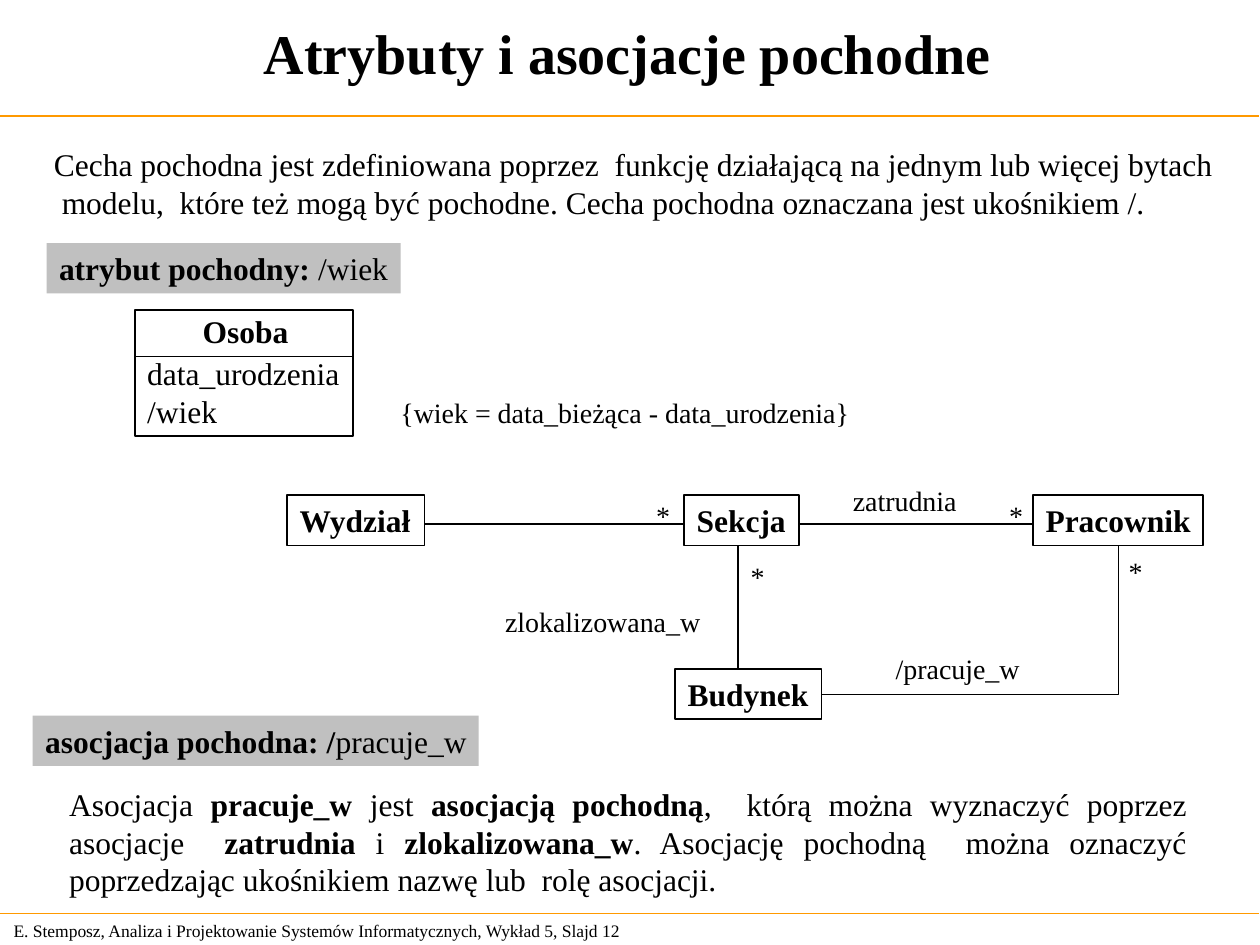
from dataclasses import dataclass

from lxml.etree import SubElement
from pptx import Presentation
from pptx.dml.color import RGBColor
from pptx.enum.shapes import MSO_CONNECTOR, MSO_SHAPE
from pptx.enum.text import MSO_ANCHOR, MSO_AUTO_SIZE, PP_ALIGN
from pptx.oxml.ns import qn
from pptx.util import Inches, Pt


@dataclass(frozen=True)
class Theme:
    font: str = "Times New Roman"
    ink: RGBColor = RGBColor(0, 0, 0)
    paper: RGBColor = RGBColor(255, 255, 255)
    band: RGBColor = RGBColor(0xC0, 0xC0, 0xC0)
    rule: RGBColor = RGBColor(0xFF, 0x99, 0x00)
    title: int = 32
    body: int = 18
    label: int = 16
    footer: int = 10
    thin: float = 0.75
    outline: float = 1


THEME = Theme()


def add_text(slide, box, text, *, size=THEME.body, align=None, wrap=False, grow=True,
             anchor=MSO_ANCHOR.TOP, fill=None, line=None, framed=False):
    """Add text at box; ** switches bold on and off, a newline starts a paragraph."""
    lengths = [Inches(value) for value in box]
    if framed:
        shape = slide.shapes.add_shape(MSO_SHAPE.RECTANGLE, *lengths)
        shape.shadow.inherit = False
    else:
        shape = slide.shapes.add_textbox(*lengths)
    if fill is None:
        shape.fill.background()
    else:
        shape.fill.solid()
        shape.fill.fore_color.rgb = fill
    if line is None:
        shape.line.fill.background()
    else:
        shape.line.color.rgb = line
        shape.line.width = Pt(THEME.outline)
    frame = shape.text_frame
    frame.word_wrap = wrap
    if not wrap:
        frame.margin_right = Inches(0.02)  # slack that keeps tight lines whole
    frame.auto_size = MSO_AUTO_SIZE.SHAPE_TO_FIT_TEXT if grow else MSO_AUTO_SIZE.NONE
    frame.vertical_anchor = anchor
    for index, content in enumerate(text.split("\n")):
        paragraph = frame.add_paragraph() if index else frame.paragraphs[0]
        paragraph.alignment = align or PP_ALIGN.LEFT
        for position, part in enumerate(content.split("**")):
            if part:
                run = paragraph.add_run()
                run.text = part
                run.font.name = THEME.font
                run.font.size = Pt(size)
                run.font.bold = position % 2 == 1
                run.font.color.rgb = THEME.ink
    return shape


def add_line(slide, start, end, color=THEME.ink, width=THEME.outline,
             kind=MSO_CONNECTOR.STRAIGHT):
    points = [Inches(value) for value in (*start, *end)]
    connector = slide.shapes.add_connector(kind, *points)
    connector.line.color.rgb = color
    connector.line.width = Pt(width)
    SubElement(connector._element.spPr, qn("a:effectLst"))
    return connector


def add_frame(slide, width):
    """Title, the two rules and the footer."""
    for top in (0.92, 7.25):
        add_line(slide, (-0.01, top), (width - 0.01, top), THEME.rule, THEME.thin)
    add_text(slide, (0, -0.01, 9.96, 0.85), "**Atrybuty i asocjacje pochodne**",
             size=THEME.title, align=PP_ALIGN.CENTER, wrap=True, grow=False,
             anchor=MSO_ANCHOR.MIDDLE)
    add_text(slide, (0.01, 7.25, 5.24, 0.27),
             "E. Stemposz, Analiza i Projektowanie Systemów Informatycznych, Wykład 5, Slajd 12",
             size=THEME.footer, wrap=True, anchor=MSO_ANCHOR.MIDDLE)


def add_heading(slide, box, text):
    add_text(slide, box, text, fill=THEME.band, framed=True)


def add_class(slide, box, name, attributes):
    """Class with a name compartment above its attributes."""
    left, top, width, height = box
    divider = top + 0.37
    add_text(slide, box, attributes, line=THEME.ink, framed=True, grow=False,
             anchor=MSO_ANCHOR.BOTTOM)
    add_line(slide, (left, divider), (left + width, divider))
    add_text(slide, (left + 0.44, top - 0.03, 0.88, 0.4), f"**{name}**")


def add_associations(slide, box):
    """Class diagram with the derived association as an elbow."""
    left, top, width, height = box
    row_height = 0.4
    lower = top + height - row_height
    add_line(slide, (left + 1.09, top + 0.23), (left + 6.32, top + 0.23))

    classes = {}
    for name, offset, class_top, class_width, fill in (
        ("Wydział", 0, top, 1.09, None),
        ("Sekcja", 3.15, top, 0.91, THEME.paper),
        ("Pracownik", width - 1.35, top, 1.35, THEME.paper),
        ("Budynek", 3.08, lower, 1.16, None),
    ):
        classes[name] = add_text(slide, (left + offset, class_top, class_width, row_height),
                                 f"**{name}**", fill=fill, line=THEME.ink, framed=True)

    add_line(slide, (left + 3.58, top + row_height), (left + 3.58, lower))
    elbow = add_line(slide, (left + 4.24, lower + 0.2), (left + 6.6, top + row_height),
                     width=THEME.thin, kind=MSO_CONNECTOR.ELBOW)
    elbow.begin_connect(classes["Budynek"], 3)
    elbow.end_connect(classes["Pracownik"], 2)
    elbow._element.spPr.find(qn("a:prstGeom")).set("prst", "bentConnector2")

    # Association names and multiplicities
    for text, across, down, label_width in (
        ("zatrudnia", 4.39, -0.14, 1.02),
        ("zlokalizowana_w", 1.63, 0.82, 1.75),
        ("/pracuje_w", 4.73, 1.19, 1.18),
        ("*", 2.83, -0.02, 0.31),
        ("*", 5.63, -0.02, 0.31),
        ("*", 6.58, 0.42, 0.31),
        ("*", 3.58, 0.46, 0.31),
    ):
        add_text(slide, (left + across, top + down, label_width, 0.37), text,
                 size=THEME.label)


def main():
    presentation = Presentation()
    presentation.slide_width = Inches(10)
    presentation.slide_height = Inches(7.5)
    slide = presentation.slides.add_slide(presentation.slide_layouts[6])

    add_frame(slide, 10)
    add_text(slide, (0.33, 1.1, 9.4, 0.7),
             "Cecha pochodna jest zdefiniowana poprzez  funkcję działającą na jednym lub więcej bytach\n"
             " modelu,  które też mogą być pochodne. Cecha pochodna oznaczana jest ukośnikiem /.",
             align=PP_ALIGN.JUSTIFY)

    # Derived attribute
    add_heading(slide, (0.37, 1.93, 2.81, 0.4), "**atrybut pochodny: **/wiek")
    add_class(slide, (1.07, 2.46, 1.73, 1), "Osoba", "data_urodzenia\n/wiek")
    add_text(slide, (3.08, 3.09, 3.82, 0.36), "{wiek = data_bieżąca - data_urodzenia}",
             size=THEME.label)

    # Derived association
    add_associations(slide, (2.28, 3.93, 7.27, 1.78))
    add_heading(slide, (0.26, 5.68, 3.54, 0.4), "**asocjacja pochodna: /**pracuje_w")
    add_text(slide, (0.45, 6.18, 9.07, 1),
             "Asocjacja **pracuje_w** jest **asocjacją pochodną**,  którą można wyznaczyć "
             "poprzez asocjacje  **zatrudnia** i **zlokalizowana_w**. Asocjację pochodną  "
             "można oznaczyć poprzedzając ukośnikiem nazwę lub  rolę asocjacji.",
             align=PP_ALIGN.JUSTIFY, wrap=True)

    presentation.save("out.pptx")


if __name__ == "__main__":
    main()
